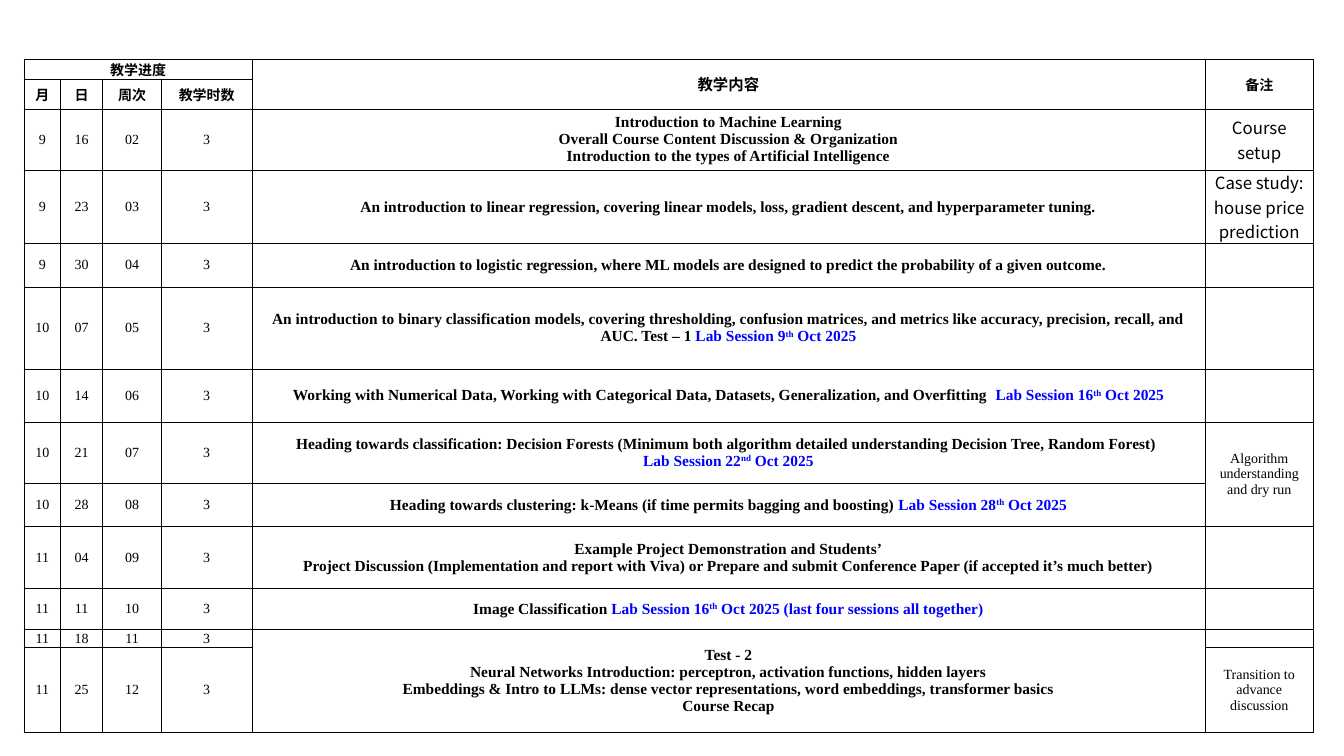
from lxml.etree import SubElement
from pptx import Presentation
from pptx.dml.color import RGBColor
from pptx.enum.text import MSO_ANCHOR, PP_ALIGN
from pptx.oxml import parse_xml
from pptx.oxml.ns import nsdecls, qn
from pptx.util import Inches, Pt

CJK, SERIF = "Noto Sans CJK SC", "Times New Roman"
THEME = {
    "ink": RGBColor(0, 0, 0), "lab": RGBColor(0, 0, 255),
    "paper": RGBColor(255, 255, 255), "edge": "000008",
    "head": {"name": CJK, "size": Pt(10), "bold": True},
    "title": {"name": CJK, "size": Pt(11), "bold": True},
    "date": {"name": SERIF, "size": Pt(10), "bold": False},
    "topic": {"name": SERIF, "size": Pt(11), "bold": True},
    "case": {"name": CJK, "size": Pt(12), "bold": False},
}
COLS = [0.36, 0.42, 0.58, 0.9, 9.45, 1.08]
ROWS = [0.15, 0.29, 0.61, 0.68, 0.43, 0.82, 0.52, 0.61, 0.43, 0.61, 0.41, 0.18, 0.84]

# Month, day, topic lines, note style, note; "|" parts are text, lab, superscript, lab
WEEKS = [
    (9, 16, ["Introduction to Machine Learning",
             "Overall Course Content Discussion & Organization",
             "Introduction to the types of Artificial Intelligence"],
     "case", "Course setup"),
    (9, 23, ["An introduction to linear regression, covering linear models, loss, "
             "gradient descent, and hyperparameter tuning."],
     "case", "Case study: house price prediction"),
    (9, 30, ["An introduction to logistic regression, where ML models are designed "
             "to predict the probability of a given outcome."], "date", ""),
    (10, 7, ["An introduction to binary classification models, covering thresholding, "
             "confusion matrices, and metrics like accuracy, precision, recall, and "
             "AUC. Test – 1 |Lab Session 9|th| Oct 2025"], "date", ""),
    (10, 14, ["Working with Numerical Data, Working with Categorical Data, Datasets, "
              "Generalization, and Overfitting  |Lab Session 16|th| Oct 2025"], "date", ""),
    (10, 21, ["Heading towards classification: Decision Forests (Minimum both algorithm "
              "detailed understanding Decision Tree, Random Forest) ",
              "|Lab Session 22|nd| Oct 2025"],
     "date", "Algorithm understanding and dry run"),
    (10, 28, ["Heading towards clustering: k-Means (if time permits bagging and boosting) "
              "|Lab Session 28|th| Oct 2025"], "date", ""),
    (11, 4, ["Example Project Demonstration and Students’",
             "Project Discussion (Implementation and report with Viva) or Prepare and "
             "submit Conference Paper (if accepted it’s much better)"], "date", ""),
    (11, 11, ["Image Classification |Lab Session 16|th| Oct 2025 "
              "(last four sessions all together)"], "date", ""),
    (11, 18, ["Test - 2",
              "Neural Networks Introduction: perceptron, activation functions, hidden layers",
              "Embeddings & Intro to LLMs: dense vector representations, word embeddings, "
              "transformer basics",
              "Course Recap"], "date", ""),
    (11, 25, [], "date", "Transition to advance discussion"),
]


def write(cell, lines, style):
    """Fill a cell with centred lines in one theme style."""
    frame = cell.text_frame
    for i, line in enumerate(lines):
        para = frame.paragraphs[0] if i == 0 else frame.add_paragraph()
        para.alignment = PP_ALIGN.CENTER
        for j, part in enumerate(line.split("|")):
            if not part:
                continue
            run = para.add_run()
            run.text = part
            for key, val in THEME[style].items():
                setattr(run.font, key, val)
            run.font.color.rgb = THEME["lab" if j else "ink"]
            props = run._r.get_or_add_rPr()
            SubElement(props, qn("a:ea")).set("typeface", THEME[style]["name"])
            if j == 2:
                props.set("baseline", "30000")


# Slide and table
deck = Presentation()
deck.slide_width, deck.slide_height = Inches(13.33), Inches(7.5)
slide = deck.slides.add_slide(deck.slide_layouts[6])
grid = slide.shapes.add_table(len(ROWS), len(COLS), Inches(0.24), Inches(0.59),
                              Inches(sum(COLS)), Inches(sum(ROWS))).table
grid.first_row = grid.horz_banding = False
for col, wide in zip(grid.columns, COLS):
    col.width = Inches(wide)
for row, high in zip(grid.rows, ROWS):
    row.height = Inches(high)

# Cell format: white fill, thin edges, small type for blank cells
FORM = {"margin_left": Inches(0.07), "margin_right": Inches(0.07), "margin_top": 0,
        "margin_bottom": 0, "vertical_anchor": MSO_ANCHOR.MIDDLE}
for cell in grid.iter_cells():
    for key, val in FORM.items():
        setattr(cell, key, val)
    cell.fill.solid()
    cell.fill.fore_color.rgb = THEME["paper"]
    props = cell._tc.get_or_add_tcPr()
    for i, side in enumerate("LRTB"):
        props.insert(i, parse_xml(
            f'<a:ln{side} {nsdecls("a")} w="{Pt(0.5)}"><a:solidFill>'
            f'<a:srgbClr val="{THEME["edge"]}"/></a:solidFill></a:ln{side}>'))
    SubElement(cell.text_frame.paragraphs[0]._p, qn("a:endParaRPr")).set("sz", "1000")

# Merged areas: top, left, bottom, right
for top, left, low, right in [(0, 0, 0, 3), (0, 4, 1, 4), (0, 5, 1, 5),
                              (7, 5, 8, 5), (11, 4, 12, 4)]:
    grid.cell(top, left).merge(grid.cell(low, right))

# Headings
for c, text, style in [(0, "教学进度", "head"), (4, "教学内容", "title"), (5, "备注", "head")]:
    write(grid.cell(0, c), [text], style)
for c, text in enumerate(["月", "日", "周次", "教学时数"]):
    write(grid.cell(1, c), [text], "head")

# Weekly rows: weeks count up from 02, each with three hours
for r, (month, day, topic, style, note) in enumerate(WEEKS, 2):
    for c, text in enumerate([f"{month}", f"{day:02}", f"{r:02}", "3"]):
        write(grid.cell(r, c), [text], "date")
    write(grid.cell(r, 4), topic, "topic")
    if note:
        write(grid.cell(r, 5), [note], style)

deck.save("out.pptx")
